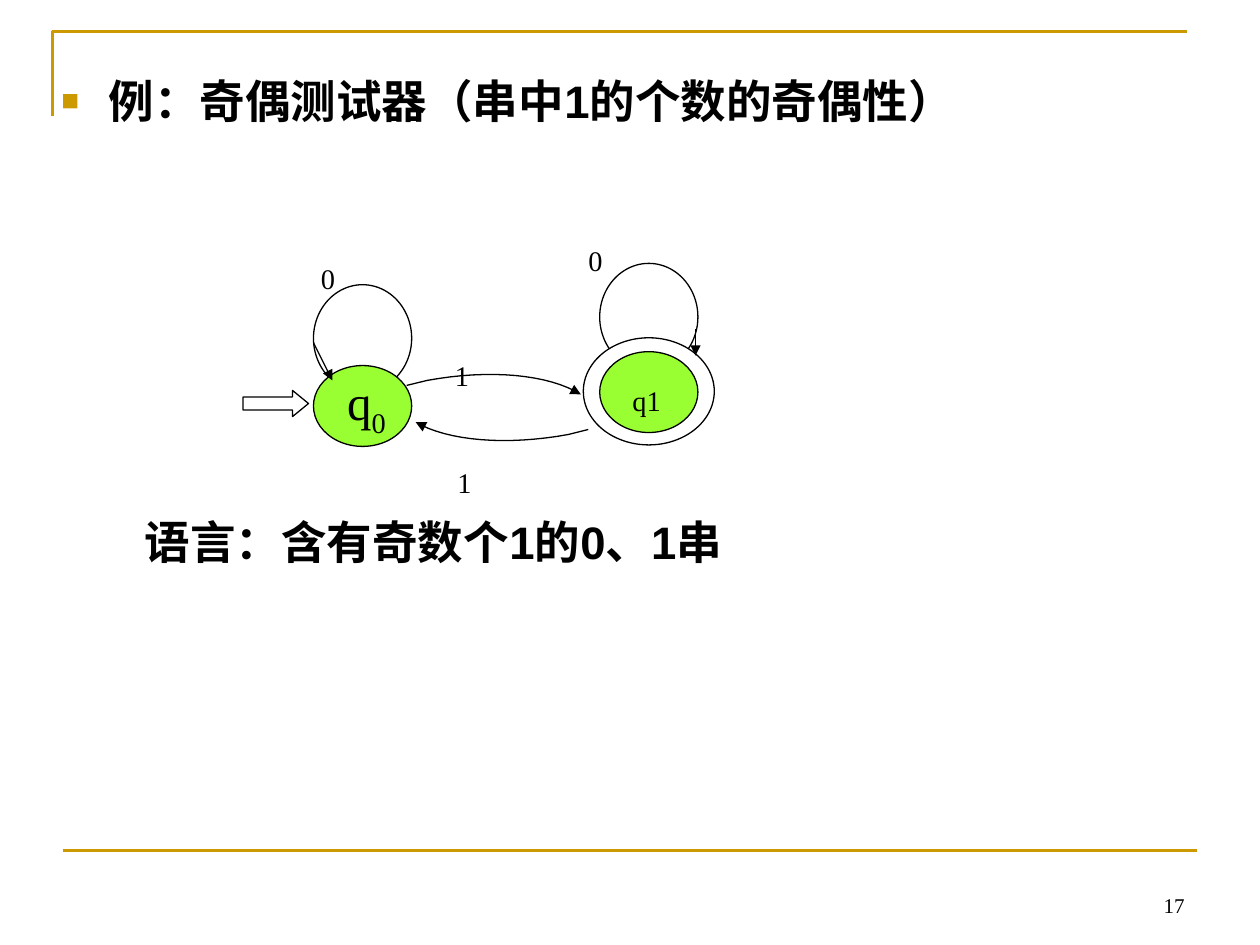
import pptx
import pptx.dml.color
import pptx.enum.shapes
import pptx.enum.text
import pptx.oxml.ns
import pptx.util
from lxml import etree
from pptx.util import Cm

COLORS = {"gold": "CC9900", "black": "000000", "white": "FFFFFF", "green": "99FF33"}
SHAPES = pptx.enum.shapes.MSO_SHAPE
ALIGN = pptx.enum.text.PP_ALIGN
ANCHOR = pptx.enum.text.MSO_ANCHOR
STATE_WIDTH, STATE_HEIGHT = 1.98, 1.63
LOOP_HEIGHT = 2.16


def color(name):
    return pptx.dml.color.RGBColor.from_string(COLORS[name])


def add_element(parent, tag, **attributes):
    return etree.SubElement(parent, pptx.oxml.ns.qn(tag), attributes)


def style_line(shape, name="black", width=0.75, arrow=False):
    shape.line.color.rgb = color(name)
    shape.line.width = pptx.util.Pt(width)
    if arrow:
        add_element(shape.line._get_or_add_ln(), "a:tailEnd", type="triangle")


def add_line(shapes, start, end, **style):
    line = shapes.add_connector(
        pptx.enum.shapes.MSO_CONNECTOR.STRAIGHT,
        Cm(start[0]), Cm(start[1]), Cm(end[0]), Cm(end[1]))
    style_line(line, **style)
    add_element(line._element.spPr, "a:effectLst")


def add_path(shapes, points, **style):
    corners = [(Cm(x), Cm(y)) for x, y in points]
    builder = shapes.build_freeform(*corners[0])
    builder.add_line_segments(corners[1:], close=False)
    path = builder.convert_to_shape()
    path.shadow.inherit = False
    path.fill.background()
    style_line(path, **style)


def add_solid(shapes, kind, left, top, width, height, fill="white"):
    shape = shapes.add_shape(kind, Cm(left), Cm(top), Cm(width), Cm(height))
    shape.shadow.inherit = False
    shape.fill.solid()
    shape.fill.fore_color.rgb = color(fill)
    style_line(shape)
    return shape


def add_text(shapes, box, align=ALIGN.LEFT, anchor=ANCHOR.TOP):
    shape = shapes.add_textbox(*[Cm(length) for length in box])
    shape.text_frame.word_wrap = True
    shape.text_frame.vertical_anchor = anchor
    paragraph = shape.text_frame.paragraphs[0]
    paragraph.alignment = align
    return paragraph


def add_run(paragraph, text, size, font="Times New Roman", bold=False, lowered=False):
    run = paragraph.add_run()
    run.text = text
    run.font.size = pptx.util.Pt(size)
    run.font.name = font
    run.font.bold = bold
    run.font.color.rgb = color("black")
    if lowered:
        run.font._element.set("baseline", "-25000")


def add_frame(slide, left, top, width, height):
    right = left + width
    add_path(slide.shapes, [(left, top + 1.7), (left, top), (right, top)],
             name="gold", width=1.5)
    bottom = top + height
    add_line(slide.shapes, (left + 0.2, bottom), (right + 0.2, bottom),
             name="gold", width=1.5)


def add_statement(slide, box, text, bulleted=False):
    paragraph = add_text(slide.shapes, box)
    paragraph.line_spacing = 0.8
    if bulleted:
        properties = paragraph._p.get_or_add_pPr()
        properties.set("marL", str(Cm(0.95)))
        properties.set("indent", str(Cm(-0.95)))
        bullet_color = add_element(properties, "a:buClr")
        add_element(bullet_color, "a:srgbClr", val=COLORS["gold"])
        add_element(properties, "a:buSzPct", val="65000")
        add_element(properties, "a:buFont", typeface="Arial")
        add_element(properties, "a:buChar", char="■")
    add_run(paragraph, text, 26, font="Arial", bold=True)


def add_page_number(slide, box, number):
    add_run(add_text(slide.shapes, box, ALIGN.RIGHT, ANCHOR.BOTTOM), number, 12)


def add_symbol(shapes, left, top, text, width=3.3, height=1.73):
    paragraph = add_text(shapes, (left, top, width, height))
    add_run(paragraph, text, 28, lowered=True)


def add_state(shapes, left, top, loop_rise, loop_arrow, symbol_offset, accepting=False):
    add_solid(shapes, SHAPES.OVAL, left, top - loop_rise, STATE_WIDTH, LOOP_HEIGHT)
    if accepting:
        add_solid(shapes, SHAPES.OVAL, left - 0.33, top - 0.28,
                  STATE_WIDTH + 0.66, STATE_HEIGHT + 0.53)
    add_solid(shapes, SHAPES.OVAL, left, top, STATE_WIDTH, STATE_HEIGHT, "green")
    add_line(shapes, (left, top), (left, top), arrow=True)
    start, end = [(left + x, top + y) for x, y in loop_arrow]
    add_line(shapes, start, end, arrow=True)
    add_symbol(shapes, left + symbol_offset[0], top + symbol_offset[1], "0")


def bezier(start, first, second, end, steps=16):
    points = []
    for step in range(steps + 1):
        t = step / steps
        weights = ((1 - t) ** 3, 3 * t * (1 - t) ** 2, 3 * t * t * (1 - t), t ** 3)
        points.append(tuple(
            sum(weight * value for weight, value in zip(weights, axis))
            for axis in zip(start, first, second, end)))
    return points


def add_transition(shapes, left, top, start, curve, symbol):
    points = [start] + bezier(*curve)
    add_path(shapes, [(left + x, top + y) for x, y in points], arrow=True)
    add_symbol(shapes, left + symbol[0], top + symbol[1], "1")


def add_automaton(slide, left, top):
    shapes = slide.shapes.add_group_shape().shapes
    arrow = add_solid(shapes, SHAPES.RIGHT_ARROW, left, top + 3.77, 1.32, 0.53)
    arrow.adjustments[0] = 0.5
    arrow.adjustments[1] = 0.61

    even_left, even_top = left + 1.42, top + 3.27
    add_state(shapes, even_left, even_top, 1.63,
              [(0, -0.46), (0.38, 0.3)], (-0.1, -2.9))
    paragraph = add_text(shapes, (even_left + 0.08, even_top, STATE_WIDTH, STATE_HEIGHT),
                         ALIGN.CENTER)
    add_run(paragraph, "q", 28)
    add_run(paragraph, "0", 28, lowered=True)

    odd_left, odd_top = left + 7.19, top + 2.99
    add_state(shapes, odd_left, odd_top, 1.78,
              [(1.93, -0.46), (1.93, 0.08)], (-0.48, -2.98), accepting=True)
    add_symbol(shapes, odd_left + 0.41, odd_top - 0.15, "q1", STATE_WIDTH, STATE_HEIGHT)

    add_transition(shapes, left, top, (6.96, 4.56),
                   [(6.56, 4.66), (5.31, 4.89), (4.12, 4.79), (3.48, 4.41)],
                   (4.07, 4.49))
    add_transition(shapes, left, top, (3.3, 3.67),
                   [(3.71, 3.57), (4.96, 3.34), (6.15, 3.44), (6.81, 3.85)],
                   (4.02, 2.33))


def main():
    presentation = pptx.Presentation()
    presentation.slide_width = Cm(25.4)
    presentation.slide_height = Cm(19.05)
    slide = presentation.slides.add_slide(presentation.slide_layouts[6])
    add_frame(slide, 1.06, 0.64, 22.86, 16.5)
    add_page_number(slide, (18.2, 17.36, 5.93, 1.27), "17")
    add_statement(slide, (0.99, 1.57, 22.86, 1.3),
                  "例：奇偶测试器（串中1的个数的奇偶性）", bulleted=True)
    add_statement(slide, (2.67, 10.46, 21, 1.3), "语言：含有奇数个1的0、1串")
    add_automaton(slide, 4.9, 4.1)
    presentation.save("out.pptx")


if __name__ == "__main__":
    main()
